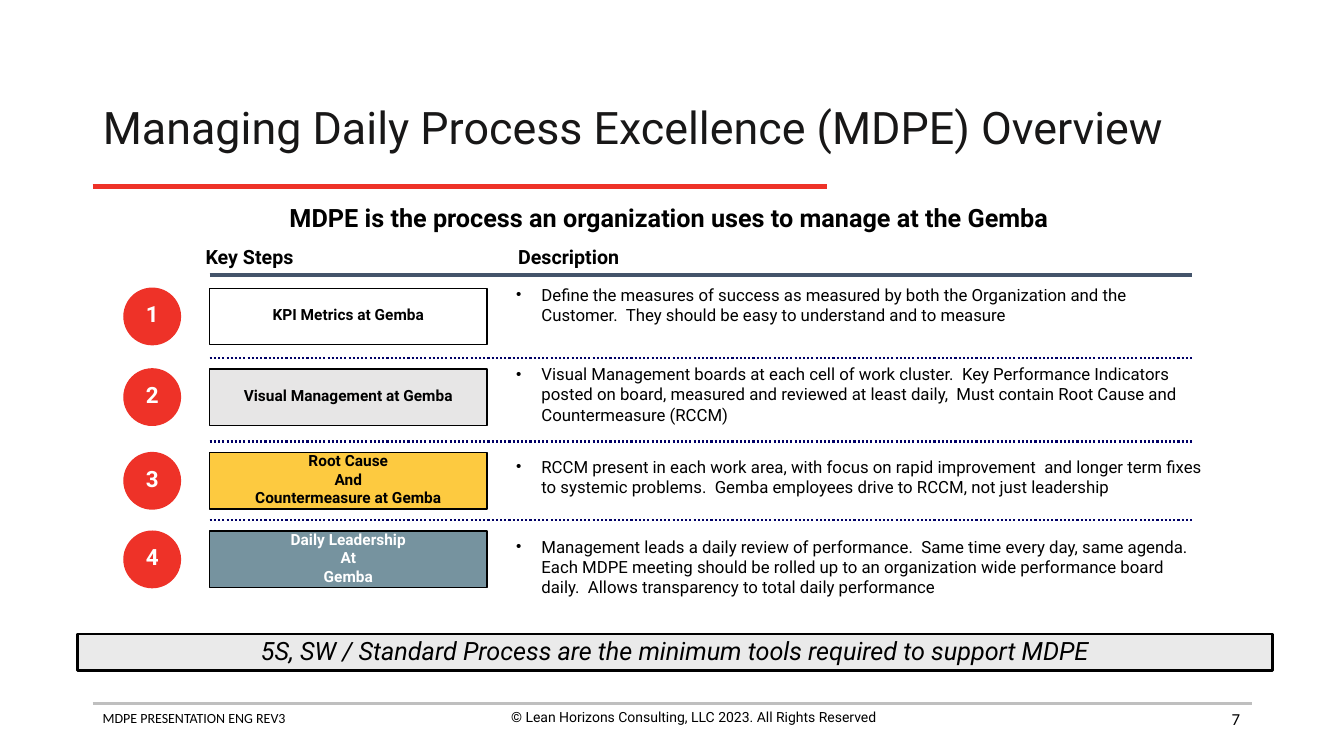
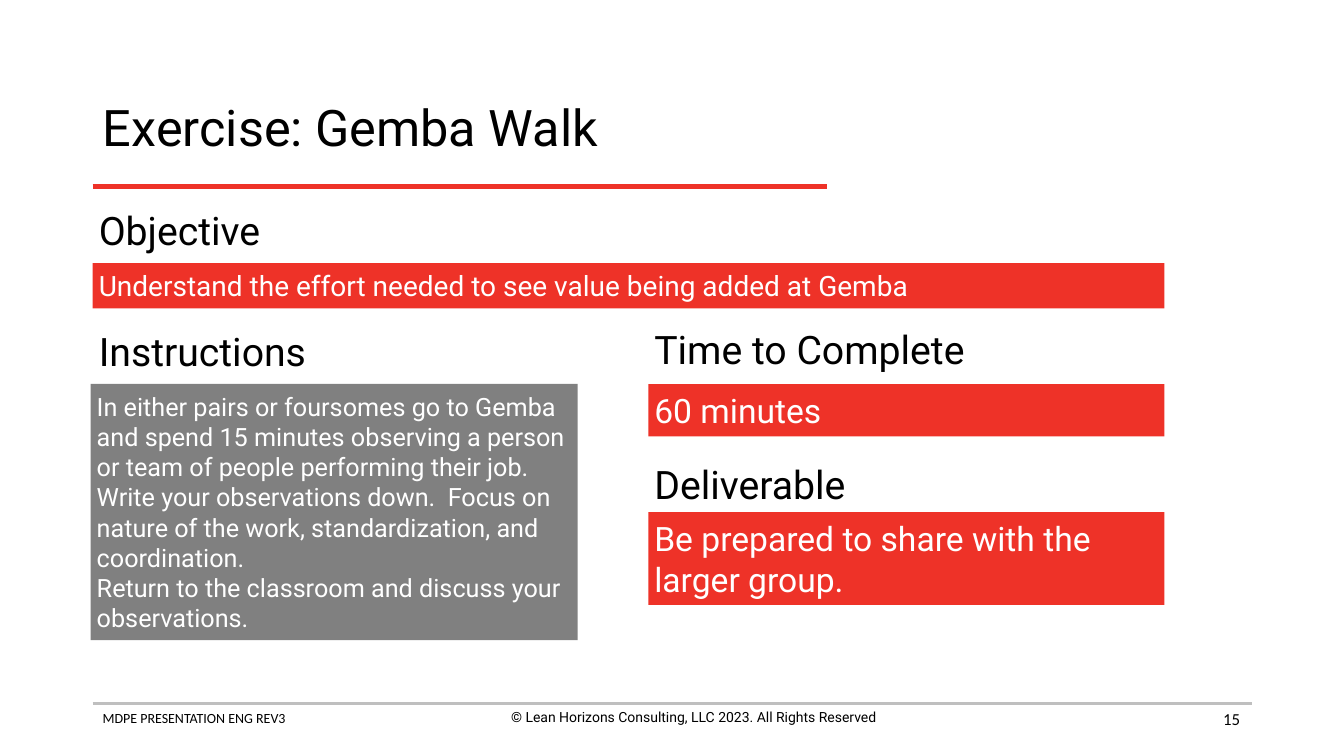
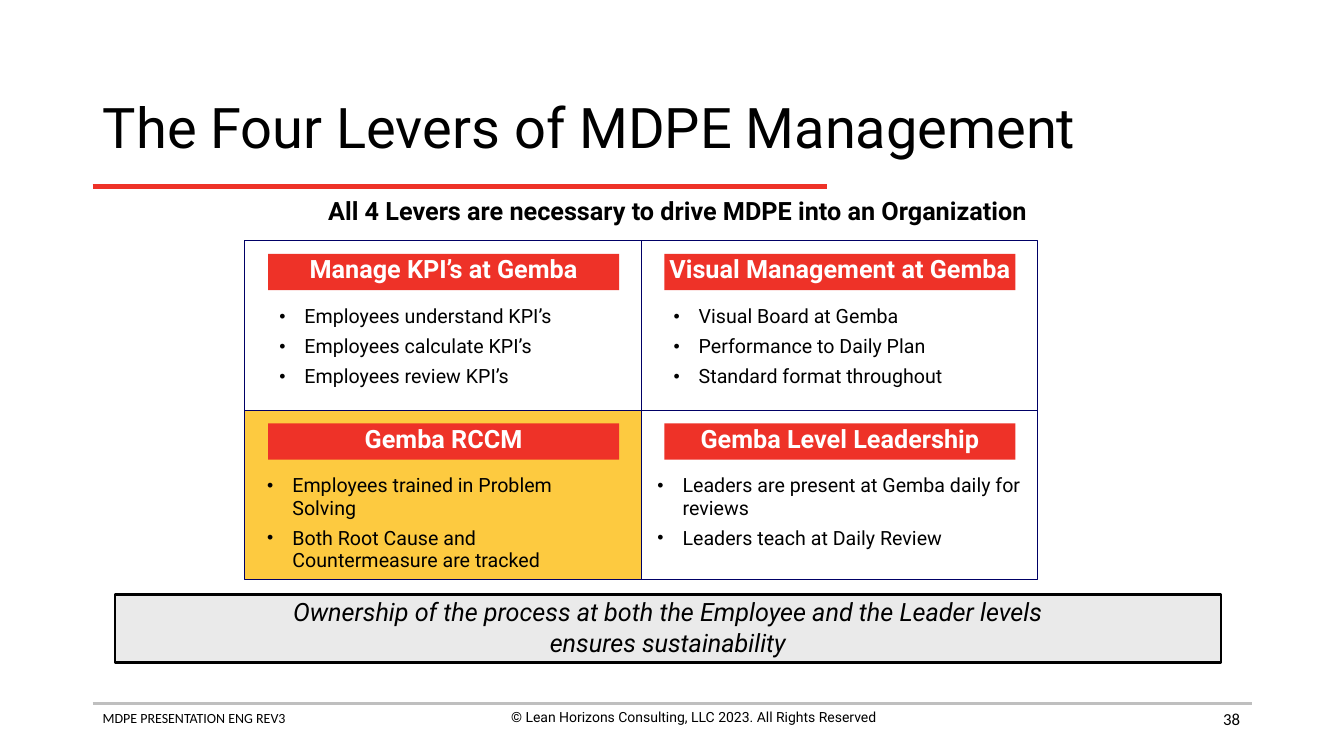
from lxml import etree
from pptx import Presentation
from pptx.dml.color import RGBColor
from pptx.enum.dml import MSO_LINE
from pptx.enum.shapes import MSO_CONNECTOR, MSO_SHAPE
from pptx.enum.text import MSO_ANCHOR, MSO_AUTO_SIZE, PP_ALIGN
from pptx.oxml.ns import qn
from pptx.util import Inches, Pt

LEFT, CENTER, RIGHT = PP_ALIGN.LEFT, PP_ALIGN.CENTER, PP_ALIGN.RIGHT
TOP, MIDDLE, BOTTOM = MSO_ANCHOR.TOP, MSO_ANCHOR.MIDDLE, MSO_ANCHOR.BOTTOM
RECTANGLE, OVAL = MSO_SHAPE.RECTANGLE, MSO_SHAPE.OVAL
STRAIGHT, DOTTED = MSO_CONNECTOR.STRAIGHT, MSO_LINE.ROUND_DOT
NO_AUTOFIT = MSO_AUTO_SIZE.NONE
TITLE_ONLY = 5

RED, YELLOW, STEEL, GRAY = "EE3228", "FDCA40", "76939F", "808080"
BLACK, WHITE, INK, NAVY, SLATE = "000000", "FFFFFF", "181717", "000066", "44546A"
PALE, BANNER_FILL, RULE_GRAY = "E7E6E6", "EAEAEA", "BFBFBF"
FONT, FOOTER_FONT = "Roboto", "Calibri"
DEFAULT_INSETS, LIST_INSETS, PANEL_INSETS = (0.1, 0.05), (0.08, 0.04), (0.06, 0.06)

# Content shared by all slides
FOOTER = "MDPE PRESENTATION ENG REV3"
COPYRIGHT = "© Lean Horizons Consulting, LLC 2023. All Rights Reserved"

# Overview: step lines, fill, text colour, row top, description top, description
OVERVIEW_HEADLINE = "MDPE is the process an organization uses to manage at the Gemba"
COLUMN_HEADS = [("Key Steps", 1.94), ("Description", 5.04)]
STEPS = [
    (["KPI Metrics at Gemba"], WHITE, BLACK, 2.86, 2.78,
     "Define the measures of success as measured by both the Organization and the "
     "Customer.  They should be easy to understand and to measure"),
    (["Visual Management at Gemba"], PALE, BLACK, 3.66, 3.57,
     "Visual Management boards at each cell of work cluster.  Key Performance Indicators "
     "posted on board, measured and reviewed at least daily,  Must contain Root Cause and "
     "Countermeasure (RCCM)"),
    (["Root Cause", "And", "Countermeasure at Gemba"], YELLOW, BLACK, 4.49, 4.49,
     "RCCM present in each work area, with focus on rapid improvement  and longer term "
     "fixes to systemic problems.  Gemba employees drive to RCCM, not just leadership"),
    (["Daily Leadership", "At", "Gemba"], STEEL, WHITE, 5.27, 5.28,
     "Management leads a daily review of performance.  Same time every day, same agenda.  "
     "Each MDPE meeting should be rolled up to an organization wide performance board "
     "daily.  Allows transparency to total daily performance"),
]
OVERVIEW_BANNER = "5S, SW / Standard Process are the minimum tools required to support MDPE"

# Exercise: heading, heading place, panel box, fill, size, panel lines
EXERCISE_PARTS = [
    ("Objective", (0.92, 1.99), (0.92, 2.61, 10.63, 0.45), RED, 20,
     ["Understand the effort needed to see value being added at Gemba"]),
    ("Instructions", (0.92, 3.19), (0.9, 3.81, 4.83, 2.54), GRAY, 18,
     ["In either pairs or foursomes go to Gemba and spend 15 minutes observing a person "
      "or team of people performing their job.",
      "Write your observations down.  Focus on nature of the work, standardization, "
      "and coordination.",
      "Return to the classroom and discuss your observations."]),
    ("Time to Complete", (6.43, 3.17), (6.43, 3.81, 5.12, 0.52), RED, 24, ["60 minutes"]),
    ("Deliverable", (6.43, 4.51), (6.43, 5.08, 5.12, 0.92), RED, 24,
     ["Be prepared to share with the larger group."]),
]

# Levers, row by row: name, fill, list indent, list width, bullets
LEVERS_HEADLINE = "All 4 Levers are necessary to drive MDPE into an Organization"
LEVERS = [
    ("Manage KPI’s at Gemba", None, 0.26, 3.37,
     ["Employees understand KPI’s", "Employees calculate KPI’s", "Employees review KPI’s"]),
    ("Visual Management at Gemba", None, 0.24, 3.49,
     ["Visual Board at Gemba", "Performance to Daily Plan", "Standard format throughout"]),
    ("Gemba RCCM", YELLOW, 0.14, 3.58,
     ["Employees trained in Problem Solving",
      "Both Root Cause and Countermeasure are tracked"]),
    ("Gemba Level Leadership", None, 0.08, 3.78,
     ["Leaders are present at Gemba daily for reviews", "Leaders teach at Daily Review"]),
]
LEVERS_BANNER = ("Ownership of the process at both the Employee and the Leader levels\n"
                 "ensures sustainability")


def color(hex_string):
    return RGBColor.from_string(hex_string)


def add_bullet(paragraph):
    properties = paragraph._p.get_or_add_pPr()
    properties.set("marL", str(Inches(0.25)))
    properties.set("indent", str(-Inches(0.25)))
    bullet_color = etree.SubElement(properties, qn("a:buClr"))
    etree.SubElement(bullet_color, qn("a:srgbClr"), val=BLACK)
    etree.SubElement(properties, qn("a:buSzPct"), val="90000")
    etree.SubElement(properties, qn("a:buFont"), typeface="Arial")
    etree.SubElement(properties, qn("a:buChar"), char="•")


def write(shape, lines, size, text_color=BLACK, font=FONT, bold=False, italic=False,
          align=LEFT, anchor=TOP, insets=DEFAULT_INSETS, wrap=True, spacing=None,
          before=0, after=0, bullets=False):
    frame = shape.text_frame
    frame.word_wrap = wrap
    frame.auto_size = NO_AUTOFIT
    frame.vertical_anchor = anchor
    frame.margin_left = frame.margin_right = Inches(insets[0])
    frame.margin_top = frame.margin_bottom = Inches(insets[1])
    for index, line in enumerate(lines):
        paragraph = frame.add_paragraph() if index else frame.paragraphs[0]
        if bullets:
            add_bullet(paragraph)
        paragraph.alignment = align
        paragraph.line_spacing = spacing
        paragraph.space_after = Pt(after)
        if index:
            paragraph.space_before = Pt(before)
        for part_index, part in enumerate(line.split("\n")):
            if part_index:
                paragraph.add_line_break()
            run = paragraph.add_run()
            run.text = part
            run.font.name = font
            run.font.size = Pt(size)
            run.font.bold = bold
            run.font.italic = italic
            run.font.color.rgb = color(text_color)


def add_text(slide, box, lines, size, **style):
    shape = slide.shapes.add_textbox(*map(Inches, box))
    write(shape, lines, size, **style)


def add_box(slide, box, fill=None, line=None, line_width=1, kind=RECTANGLE):
    shape = slide.shapes.add_shape(kind, *map(Inches, box))
    shape.shadow.inherit = False
    if fill:
        shape.fill.solid()
        shape.fill.fore_color.rgb = color(fill)
    else:
        shape.fill.background()
    if line:
        shape.line.color.rgb = color(line)
        shape.line.width = Pt(line_width)
    else:
        shape.line.fill.background()
    return shape


def add_rule(slide, left, right, top, line_color, width, dash=None):
    rule = slide.shapes.add_connector(STRAIGHT, Inches(left), Inches(top),
                                      Inches(right), Inches(top))
    rule.line.color.rgb = color(line_color)
    rule.line.width = Pt(width)
    if dash:
        rule.line.dash_style = dash
    etree.SubElement(rule._element.spPr, qn("a:effectLst"))


def add_banner(slide, box, text):
    banner = add_box(slide, box, BANNER_FILL, BLACK, 2)
    write(banner, [text], 18, italic=True, align=CENTER, anchor=BOTTOM)


def new_slide(presentation, title, title_size, number, title_color=BLACK):
    """Add a slide with the common title, rules and footer."""
    slide = presentation.slides.add_slide(presentation.slide_layouts[TITLE_ONLY])
    add_rule(slide, 0.92, 12.42, 6.98, RULE_GRAY, 2)
    add_rule(slide, 0.92, 8.2, 1.85, RED, 3)
    add_text(slide, (0.92, 6.99, 4.56, 0.44), [FOOTER], 10, font=FOOTER_FONT)
    add_text(slide, (4.6, 6.98, 4.56, 0.44), [COPYRIGHT], 10, align=CENTER)
    add_text(slide, (9.4, 6.93, 3, 0.4), [number], 12, font=FOOTER_FONT,
             align=RIGHT, anchor=MIDDLE)
    heading = slide.shapes.title
    heading.left, heading.top, heading.width, heading.height = map(
        Inches, (0.92, 0.74, 11.5, 1.1))
    write(heading, [title], title_size, title_color, anchor=MIDDLE, spacing=0.9)
    return slide


def build_overview(presentation):
    slide = new_slide(presentation, "Managing Daily Process Excellence (MDPE) Overview",
                      32, "7", INK)
    add_text(slide, (0.71, 1.96, 11.85, 0.36), [OVERVIEW_HEADLINE], 18,
             bold=True, align=CENTER)
    for text, left in COLUMN_HEADS:
        add_text(slide, (left, 2.43, 1.5, 0.29), [text], 14, bold=True,
                 spacing=0.8, wrap=False)
    add_rule(slide, 2.08, 11.82, 2.73, SLATE, 3)

    # Numbered rows, with a dotted rule above all but the first
    label_style = dict(bold=True, align=CENTER, anchor=MIDDLE, wrap=False,
                       spacing=0.8, before=2.5)
    for number, (lines, fill, text_color, top, text_top, description) in enumerate(STEPS, 1):
        if number > 1:
            add_rule(slide, 2.08, 11.82, top - 0.11, NAVY, 1.5, DOTTED)
        circle = add_box(slide, (1.23, top, 0.56, 0.56), RED, RED, kind=OVAL)
        write(circle, [str(number)], 16, WHITE, **label_style)
        step = add_box(slide, (2.08, top, 2.75, 0.56), fill, BLACK)
        write(step, lines, 11, text_color, **label_style)
        add_text(slide, (5.04, text_top, 7, 0.69), [description], 12,
                 insets=LIST_INSETS, bullets=True)
    add_banner(slide, (0.77, 6.29, 11.85, 0.36), OVERVIEW_BANNER)


def build_exercise(presentation):
    slide = new_slide(presentation, "Exercise: Gemba Walk", 36, "15")
    for heading, place, box, fill, size, lines in EXERCISE_PARTS:
        add_text(slide, (*place, 3.25, 0.58), [heading], 28,
                 insets=PANEL_INSETS, wrap=False)
        panel = add_box(slide, box, fill)
        write(panel, lines, size, WHITE, anchor=MIDDLE, insets=PANEL_INSETS)


def build_levers(presentation):
    slide = new_slide(presentation, "The Four Levers of MDPE Management", 40, "38")
    add_text(slide, (1.24, 1.96, 10.96, 0.31), [LEVERS_HEADLINE], 18, bold=True,
             align=CENTER, spacing=0.75)

    # Two by two grid
    cell_width, cell_height = 3.93, 1.68
    for index, (name, fill, indent, list_width, bullets) in enumerate(LEVERS):
        row, column = divmod(index, 2)
        left = 2.43 + column * cell_width
        top = 2.39 + row * cell_height
        add_box(slide, (left, top, cell_width, cell_height), fill, NAVY, 0.75)
        label = add_box(slide, (left + 0.23, top + 0.13, 3.48, 0.36), RED)
        write(label, [name], 18, WHITE, bold=True, align=CENTER, anchor=MIDDLE,
              wrap=False, spacing=0.75)
        add_text(slide, (left + indent, top + 0.6, list_width, 1.05), bullets, 14,
                 insets=LIST_INSETS, spacing=0.95, before=2.8, after=2.8, bullets=True)
    add_banner(slide, (1.14, 5.9, 10.97, 0.67), LEVERS_BANNER)


def main():
    presentation = Presentation()
    presentation.slide_width = Inches(13.33)
    presentation.slide_height = Inches(7.5)
    build_overview(presentation)
    build_exercise(presentation)
    build_levers(presentation)
    presentation.save("out.pptx")


if __name__ == "__main__":
    main()
